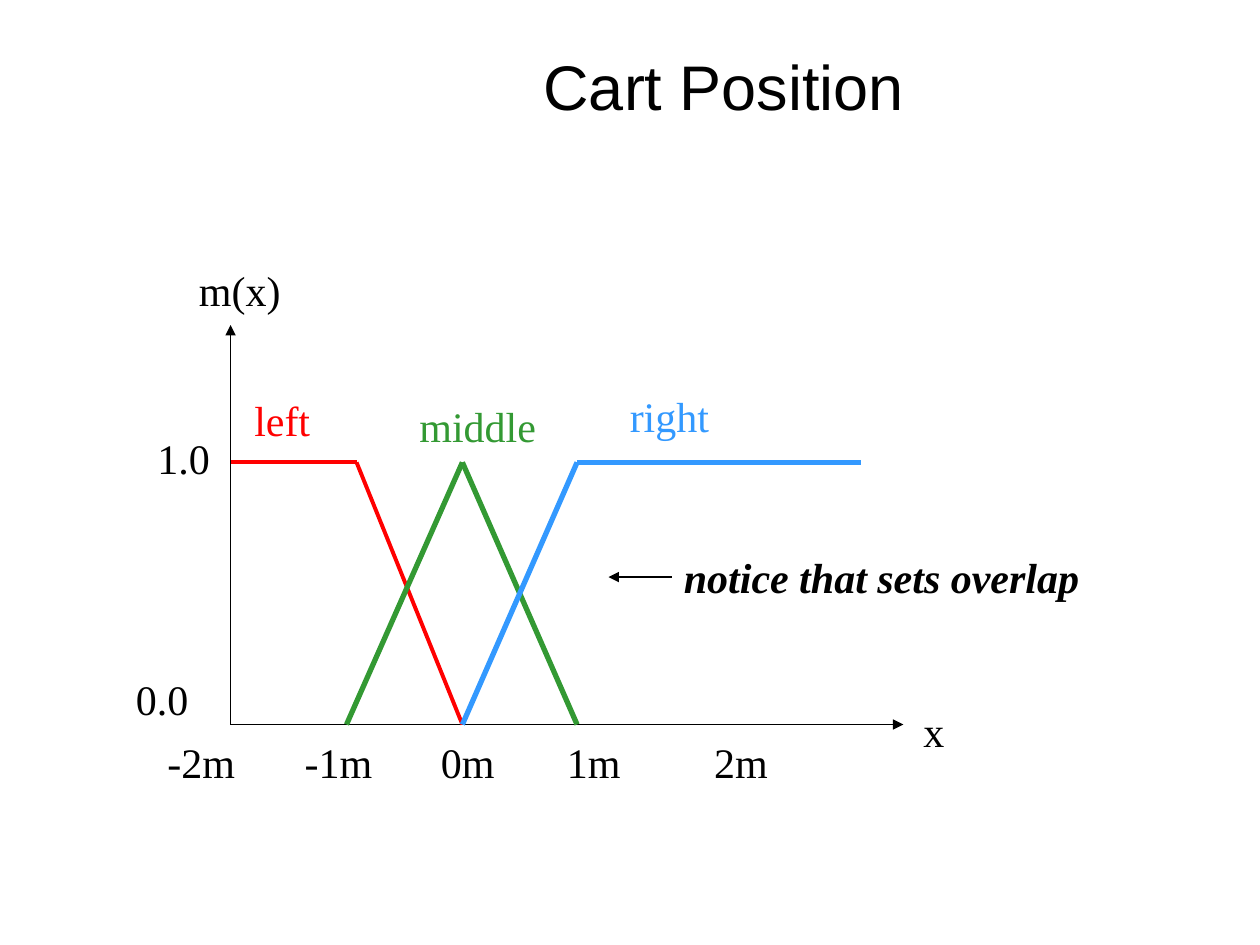
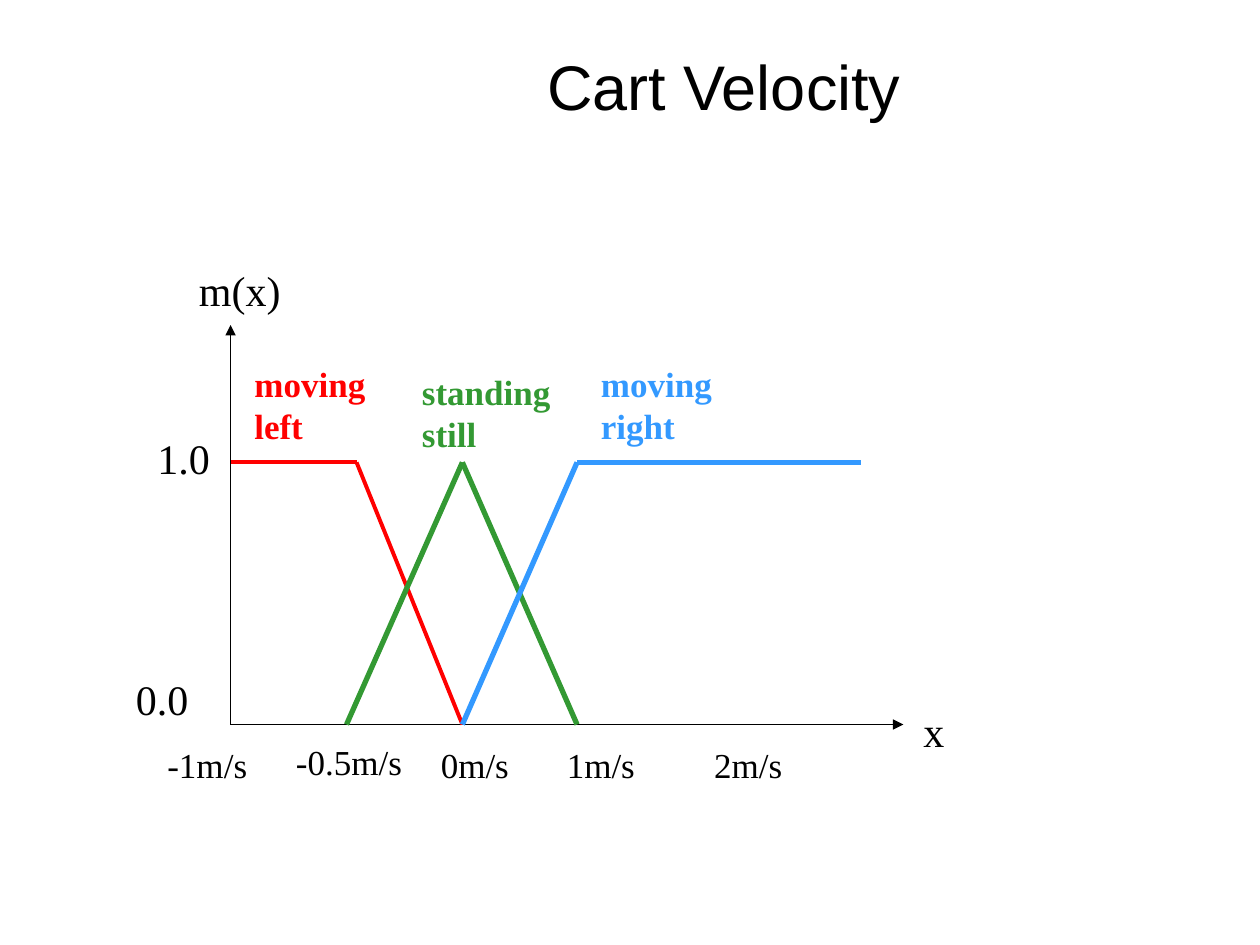
from itertools import pairwise

from lxml.etree import SubElement
from pptx import Presentation
from pptx.dml.color import RGBColor
from pptx.enum.shapes import MSO_CONNECTOR
from pptx.enum.text import MSO_ANCHOR, MSO_AUTO_SIZE, PP_ALIGN
from pptx.oxml.ns import qn
from pptx.util import Inches, Pt

BLACK = RGBColor(0x00, 0x00, 0x00)
RED = RGBColor(0xFF, 0x00, 0x00)
GREEN = RGBColor(0x33, 0x99, 0x33)
BLUE = RGBColor(0x33, 0x99, 0xFF)

TITLE_FORMAT = {"name": "Arial", "size": Pt(36)}
LABEL_FORMAT = {"name": "Times New Roman", "size": Pt(24)}
SMALL_FORMAT = LABEL_FORMAT | {"size": Pt(20)}
SET_NAME_FORMAT = SMALL_FORMAT | {"bold": True}
NOTE_FORMAT = LABEL_FORMAT | {"bold": True, "italic": True}
GROWING_FRAME = {
    "word_wrap": False,
    "auto_size": MSO_AUTO_SIZE.SHAPE_TO_FIT_TEXT,
    "margin_right": Inches(0.05),
}
TITLE_FRAME = {
    "word_wrap": True,
    "vertical_anchor": MSO_ANCHOR.MIDDLE,
    "margin_bottom": Inches(0.1),
}

AXIS_LEFT, AXIS_RIGHT, AXIS_TOP = 1.83, 7.17, 2.58
ZERO_LEVEL, ONE_LEVEL = 5.75, 3.67
MIDDLE_X, RIGHT_X = 3.67, 4.58
LABEL_HEIGHT, SMALL_HEIGHT, TWO_LINE_HEIGHT = 0.5, 0.44, 0.77

AXIS_LABELS = [
    ("m(x)", 1.48, 2.05, 0.85),
    ("1.0", 1.15, 3.38, 0.61),
    ("0.0", 0.98, 5.3, 0.61),
    ("x", 7.23, 5.55, 0.36),
]
FUZZY_SETS = [
    (RED, 2.25, [(AXIS_LEFT, ONE_LEVEL), (2.83, ONE_LEVEL), (MIDDLE_X, ZERO_LEVEL)]),
    (GREEN, 3, [(2.75, ZERO_LEVEL), (MIDDLE_X, ONE_LEVEL), (RIGHT_X, ZERO_LEVEL)]),
    (BLUE, 3, [(MIDDLE_X, ZERO_LEVEL), (RIGHT_X, ONE_LEVEL), (6.83, ONE_LEVEL)]),
]
POSITION_TICKS = [
    ("-2m", 1.23, 5.8, 0.73),
    ("-1m", 2.32, 5.8, 0.73),
    ("0m", 3.4, 5.8, 0.62),
    ("1m", 4.4, 5.8, 0.62),
    ("2m", 5.57, 5.8, 0.62),
]
VELOCITY_TICKS = [
    ("-1m/s", 1.23, 5.85, 0.83),
    ("-0.5m/s", 2.25, 5.83, 1.04),
    ("0m/s", 3.4, 5.85, 0.74),
    ("1m/s", 4.4, 5.85, 0.74),
    ("2m/s", 5.57, 5.85, 0.74),
]
POSITION_NAMES = [
    ("left", 1.92, 3.08, 0.64, RED),
    ("middle", 3.23, 3.13, 1.12, GREEN),
    ("right", 4.9, 3.05, 0.83, BLUE),
]
VELOCITY_NAMES = [
    ("moving\nleft", 1.92, 2.83, 1.08, RED),
    ("standing\nstill", 3.25, 2.89, 1.22, GREEN),
    ("moving\nright", 4.67, 2.83, 1.08, BLUE),
]


def set_attributes(target, values):
    """Set every attribute named in a dict of format values."""
    for name, value in values.items():
        setattr(target, name, value)


def add_text(slide, text, left, top, width, height, font_format,
             color=BLACK, frame_format=GROWING_FRAME, alignment=PP_ALIGN.LEFT):
    """Add a text box with one paragraph per line and return it."""
    shape = slide.shapes.add_textbox(*map(Inches, (left, top, width, height)))
    set_attributes(shape.text_frame, frame_format)
    shape.text_frame.text = text
    for paragraph in shape.text_frame.paragraphs:
        paragraph.alignment = alignment
        for run in paragraph.runs:
            set_attributes(run.font, font_format)
            run.font.color.rgb = color
    return shape


def add_line(slide, start, end, color=BLACK, weight=0.75, arrow=False):
    """Add a straight line, with an arrowhead at its end on request."""
    connector = slide.shapes.add_connector(
        MSO_CONNECTOR.STRAIGHT, *map(Inches, (*start, *end)))
    connector.line.color.rgb = color
    connector.line.width = Pt(weight)
    if arrow:
        SubElement(connector.line._get_or_add_ln(), qn("a:tailEnd"), type="triangle")
    SubElement(connector._element.spPr, qn("a:effectLst"))
    return connector


def add_labels(slide, labels, height, font_format):
    """Add a series of labels given as text, left, top, width and optional colour."""
    for text, left, top, width, *color in labels:
        add_text(slide, text, left, top, width, height, font_format, *color)


def add_membership_slide(presentation, title):
    """Add a slide with a title, the two axes and the three fuzzy sets."""
    slide = presentation.slides.add_slide(presentation.slide_layouts[6])
    add_text(slide, title, 1.83, 0.33, 7.83, 0.75, TITLE_FORMAT,
             frame_format=TITLE_FRAME, alignment=PP_ALIGN.CENTER)
    origin = (AXIS_LEFT, ZERO_LEVEL)
    for axis_end in ((AXIS_LEFT, AXIS_TOP), (AXIS_RIGHT, ZERO_LEVEL)):
        add_line(slide, origin, axis_end, arrow=True)
    for color, weight, points in FUZZY_SETS:
        for start, end in pairwise(points):
            add_line(slide, start, end, color, weight)
    add_labels(slide, AXIS_LABELS, LABEL_HEIGHT, LABEL_FORMAT)
    return slide


def add_overlap_note(slide):
    """Add the remark on overlapping sets and its arrow."""
    note = add_text(slide, "notice that sets overlap", 5.33, 4.33, 3.34,
                    LABEL_HEIGHT, NOTE_FORMAT)
    arrow = add_line(slide, (5.33, 4.58), (4.83, 4.58), arrow=True)
    arrow.begin_connect(note, 1)


def main():
    """Build the position and velocity slides."""
    presentation = Presentation()
    presentation.slide_width = Inches(10)
    presentation.slide_height = Inches(7.5)

    position = add_membership_slide(presentation, "Cart Position")
    add_labels(position, POSITION_TICKS, LABEL_HEIGHT, LABEL_FORMAT)
    add_labels(position, POSITION_NAMES, LABEL_HEIGHT, LABEL_FORMAT)
    add_overlap_note(position)

    velocity = add_membership_slide(presentation, "Cart Velocity")
    add_labels(velocity, VELOCITY_TICKS, SMALL_HEIGHT, SMALL_FORMAT)
    add_labels(velocity, VELOCITY_NAMES, TWO_LINE_HEIGHT, SET_NAME_FORMAT)

    presentation.save("out.pptx")


if __name__ == "__main__":
    main()
